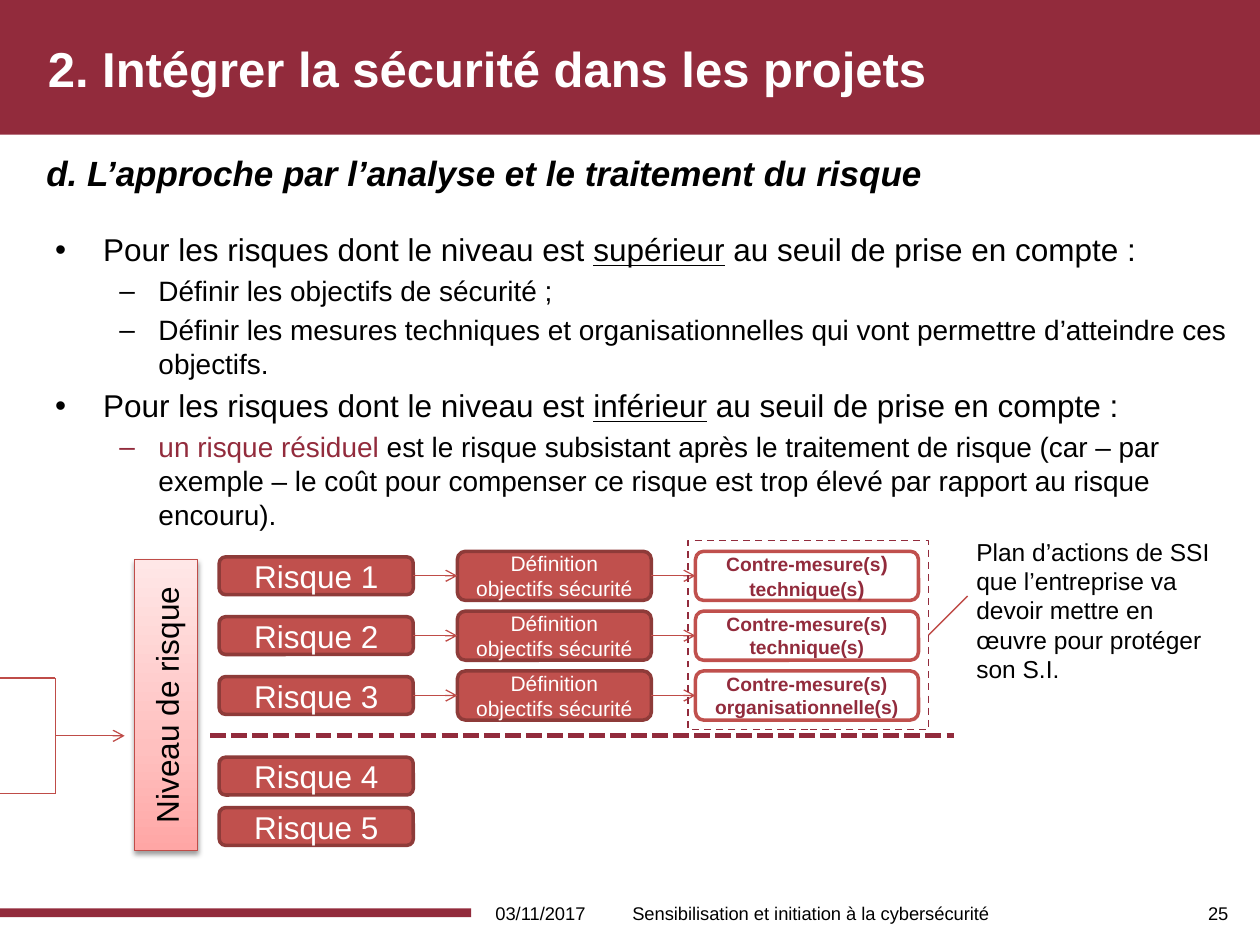
from pptx import Presentation
from pptx.dml.color import RGBColor
from pptx.enum.dml import MSO_LINE as Dash
from pptx.enum.shapes import MSO_CONNECTOR as Link, MSO_SHAPE as Kind
from pptx.enum.text import MSO_ANCHOR as Anchor, PP_ALIGN as Align
from pptx.oxml import parse_xml
from pptx.oxml.ns import qn
from pptx.util import Inches, Pt
from lxml.etree import SubElement

WINE = RGBColor(0x92, 0x2B, 0x3C)
RED = RGBColor(0xC0, 0x50, 0x4D)
DARK = RGBColor(0x8E, 0x3B, 0x39)
ROSE = RGBColor(0xBF, 0x4C, 0x48)
WHITE = RGBColor(255, 255, 255)
BLACK = RGBColor(0, 0, 0)
BLUSH = [(0, "FFA6A5"), (35, "FFC0BF"), (100, "FFE7E7")]
NS = 'xmlns:a="http://schemas.openxmlformats.org/drawingml/2006/main"'

TITLE = "2. Intégrer la sécurité dans les projets"
HEAD = "d. L’approche par l’analyse et le traitement du risque"
POINTS = [
    (0, [("Pour les risques dont le niveau est ", {}), ("supérieur", {"line": True}),
         (" au seuil de prise en compte :", {})]),
    (1, [("Définir les objectifs de sécurité ;", {})]),
    (1, [("Définir les mesures techniques et organisationnelles qui vont "
          "permettre d’atteindre ces objectifs.", {})]),
    (0, [("Pour les risques dont le niveau est ", {}), ("inférieur", {"line": True}),
         (" au seuil de prise en compte :", {})]),
    (1, [("un risque résiduel ", {"color": WINE}),
         ("est le risque subsistant après le traitement de risque (car – par "
          "exemple – le coût pour compenser ce risque est trop élevé par "
          "rapport au risque encouru).", {})]),
]
LEVELS = [(18, 0.44, -0.38, "•", Align.JUSTIFY), (16, 0.88, -0.31, "–", Align.LEFT)]
GOAL = "Définition objectifs sécurité"
STEPS = [
    [("Contre-mesure(s", 11), (") ", 12), ("technique(s", 11), (")", 12)],
    [("Contre-mesure(s) technique(s)", 11)],
    [("Contre-mesure(s) organisationnelle(s)", 11)],
]
MIDS = [4.57, 5.045, 5.52, 6.16, 6.56]
PLAN = ("Plan d’actions de SSI que l’entreprise va devoir mettre en œuvre "
        "pour protéger son S.I.")
FOOT = [
    ("03/11/2017", 3.74, 1.1, Align.CENTER),
    ("Sensibilisation et initiation à la cybersécurité", 4.92, 3.32, Align.LEFT),
    ("25", 9.49, 0.47, Align.LEFT),
]

deck = Presentation()
deck.slide_width, deck.slide_height = Inches(10), Inches(7.5)
slide = deck.slides.add_slide(deck.slide_layouts[5])
shapes = slide.shapes


def style(run, size, color=BLACK, bold=False, slant=False, line=False):
    font = run.font
    font.name, font.size, font.bold, font.italic = "Arial", Pt(size), bold, slant
    font.underline = line
    font.color.rgb = color


def write(shape, text, size, align=Align.LEFT, mid=True, **look):
    frame = shape.text_frame
    frame.word_wrap = True
    frame.vertical_anchor = Anchor.MIDDLE if mid else Anchor.TOP
    para = frame.paragraphs[0]
    para.alignment = align
    parts = [(text, size)] if isinstance(text, str) else text
    for words, points in parts:
        run = para.add_run()
        run.text = words
        style(run, points, **look)
    return para


def box(kind, x, y, w, h, fill=None, line=None, width=2):
    shape = shapes.add_shape(kind, Inches(x), Inches(y), Inches(w), Inches(h))
    shape.shadow.inherit = False
    if fill is None:
        shape.fill.background()
    else:
        shape.fill.solid()
        shape.fill.fore_color.rgb = fill
    if line is None:
        shape.line.fill.background()
    else:
        shape.line.color.rgb = line
        shape.line.width = Pt(width)
    return shape


def label(x, y, w, h):
    return shapes.add_textbox(Inches(x), Inches(y), Inches(w), Inches(h))


def wire(x1, y1, x2, y2, color=ROSE, width=0.75, arrow=False):
    link = shapes.add_connector(
        Link.STRAIGHT, Inches(x1), Inches(y1), Inches(x2), Inches(y2))
    link.line.color.rgb = color
    link.line.width = Pt(width)
    if arrow:
        SubElement(link.line._get_or_add_ln(), qn("a:tailEnd"), type="arrow")
    SubElement(link._element.spPr, qn("a:effectLst"))
    return link


def join(start, end):
    link = wire(0, 0, 1, 1, arrow=True)
    link.begin_connect(start, 3)
    link.end_connect(end, 1)


def pill(x, mid, w, h, fill, line, text, size, **look):
    shape = box(Kind.ROUNDED_RECTANGLE, x, mid - h / 2, w, h, fill, line)
    write(shape, text, size, Align.CENTER, **look)
    return shape


def bullets(frame):
    frame.word_wrap = True
    for i, (level, parts) in enumerate(POINTS):
        size, left, first, mark, align = LEVELS[level]
        para = frame.add_paragraph() if i else frame.paragraphs[0]
        para.level, para.alignment, para.space_before = level, align, Pt(size * 0.2)
        props = para._p.get_or_add_pPr()
        props.set("marL", str(Inches(left)))
        props.set("indent", str(Inches(first)))
        SubElement(props, qn("a:buFont"), typeface="Arial")
        SubElement(props, qn("a:buChar"), char=mark)
        for words, look in parts:
            run = para.add_run()
            run.text = words
            style(run, size, **look)


def gauge():
    bar = box(Kind.RECTANGLE, 1.07, 4.44, 0.5, 2.31, WHITE, ROSE, 0.75)
    write(bar, "Niveau de risque", 18, Align.CENTER)
    bar.text_frame._txBody.bodyPr.set("vert", "vert270")
    props = bar._element.spPr
    stops = "".join(f'<a:gs pos="{p * 1000}"><a:srgbClr val="{c}"/></a:gs>'
                    for p, c in BLUSH)
    props.replace(props.find(qn("a:solidFill")), parse_xml(
        f'<a:gradFill {NS} rotWithShape="1"><a:gsLst>{stops}</a:gsLst>'
        '<a:lin ang="16200000" scaled="1"/></a:gradFill>'))
    props.replace(props.find(qn("a:effectLst")), parse_xml(
        f'<a:effectLst {NS}><a:outerShdw blurRad="{Pt(3.1)}" dist="{Pt(1.6)}" '
        'dir="5400000" rotWithShape="0"><a:srgbClr val="000000">'
        '<a:alpha val="38000"/></a:srgbClr></a:outerShdw></a:effectLst>'))


title = shapes.title
band = box(Kind.RECTANGLE, 0, 0, 10, 1.07, WINE)
title._element.addprevious(band._element)
box(Kind.RECTANGLE, 0, 7.21, 3.74, 0.07, WINE)
title.left, title.top = Inches(0.28), Inches(0.01)
title.width, title.height = Inches(9.53), Inches(1.06)
write(title, TITLE, 28, color=WHITE, bold=True)

bullets(label(0.28, 1.78, 9.57, 5.04).text_frame)
head = write(label(0.27, 1.15, 9.53, 0.63), HEAD, 20, mid=False, bold=True, slant=True)
head.space_before = Pt(4)
for text, x, w, align in FOOT:
    write(label(x, 7.05, w, 0.4), text, 10.5, align)

gauge()
for ends in [(0, 5.38, 0.44, 5.38), (0, 6.3, 0.44, 6.3), (0.44, 5.38, 0.44, 6.3)]:
    wire(*ends)
wire(0.44, 5.84, 0.99, 5.84, arrow=True)
wire(1.67, 5.84, 7.57, 5.84, WINE, 3).line.dash_style = Dash.SQUARE_DOT

risks = [pill(1.74, mid, 1.54, 0.3, RED, DARK, f"Risque {i}", 18, color=WHITE)
         for i, mid in enumerate(MIDS, 1)]
for risk, mid, step in zip(risks, MIDS, STEPS):
    goal = pill(3.63, mid, 1.54, 0.39, RED, DARK, GOAL, 12, color=WHITE)
    act = pill(5.52, mid, 1.77, 0.39, WHITE, RED, step, 11, color=WINE, bold=True)
    join(risk, goal)
    join(goal, act)

zone = box(Kind.RECTANGLE, 5.46, 4.29, 1.91, 1.5, None, WINE, 1)
zone.line.dash_style = Dash.DASH
write(label(7.65, 4.21, 2.13, 1.28), PLAN, 14, mid=False)
wire(7.37, 5.04, 7.68, 4.73).begin_connect(zone, 3)

deck.save("out.pptx")
